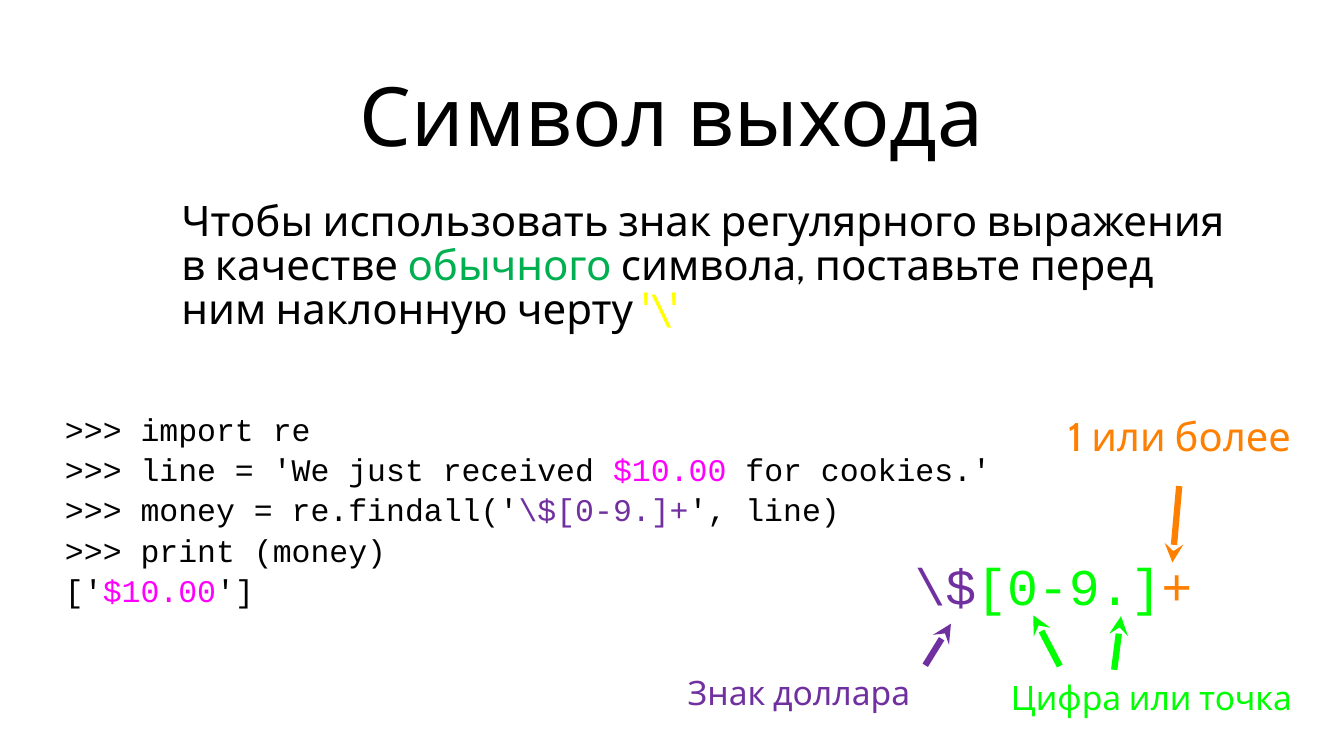
import dataclasses

import lxml.etree
import pptx
import pptx.dml.color
import pptx.enum.shapes
import pptx.enum.text
import pptx.oxml.ns
import pptx.util

Inches = pptx.util.Inches
Align = pptx.enum.text.PP_ALIGN


@dataclasses.dataclass(frozen=True)
class Theme:
    prose: str = "Cabin"
    code: str = "Courier New"
    black: str = "000000"
    emphasis: str = "00B050"
    yellow: str = "FFFF00"
    magenta: str = "FF00FF"
    purple: str = "7030A0"
    green: str = "00FF00"
    orange: str = "FF7F00"
    title_size: int = 78
    body_size: int = 40
    code_size: int = 30
    pattern_size: int = 49
    label_size: int = 32
    count_size: int = 38
    arrow_width: int = 6


THEME = Theme()


def rgb(color):
    return pptx.dml.color.RGBColor.from_string(color)


def add_text(slide, box, paragraphs, *, size, font=THEME.prose, align=Align.LEFT,
             inset=0, left_inset=None, line_spacing=None):
    shape = slide.shapes.add_textbox(*map(Inches, box))
    frame = shape.text_frame
    frame.word_wrap = True
    frame.vertical_anchor = pptx.enum.text.MSO_ANCHOR.MIDDLE
    frame.margin_top = frame.margin_bottom = frame.margin_right = Inches(inset)
    frame.margin_left = Inches(inset if left_inset is None else left_inset)
    for index, runs in enumerate(paragraphs):
        paragraph = frame.add_paragraph() if index else frame.paragraphs[0]
        paragraph.alignment = align
        if line_spacing:
            paragraph.line_spacing = line_spacing
        for text, color in runs:
            run = paragraph.add_run()
            run.text = text
            run.font.name = font
            run.font.size = pptx.util.Pt(size)
            run.font.color.rgb = rgb(color)


def add_arrow(slide, tip, tail, color):
    arrow = slide.shapes.add_connector(
        pptx.enum.shapes.MSO_CONNECTOR.STRAIGHT, *map(Inches, tip + tail))
    arrow.line.color.rgb = rgb(color)
    arrow.line.width = pptx.util.Pt(THEME.arrow_width)
    qualified = pptx.oxml.ns.qn
    line = arrow.line._get_or_add_ln()
    lxml.etree.SubElement(line, qualified("a:round"))
    lxml.etree.SubElement(line, qualified("a:headEnd"), type="stealth")
    properties = arrow._element.spPr
    lxml.etree.SubElement(properties, qualified("a:effectLst"))


def add_explanation(slide):
    black = THEME.black
    add_text(slide, (1.65, 0.26, 14.47, 2.5), [[("Символ выхода", black)]],
             size=THEME.title_size, align=Align.CENTER, inset=0.06)
    rule = [
        ("Чтобы использовать знак регулярного выражения в качестве ", black),
        ("обычного ", THEME.emphasis),
        ("символа, поставьте перед ним наклонную черту ", black),
        ("'\\'", THEME.yellow),
    ]
    add_text(slide, (1.13, 2.55, 15.32, 1.97), [rule], size=THEME.body_size,
             inset=0.06, left_inset=1.27, line_spacing=0.88)


def add_code(slide):
    black = THEME.black
    amount = ("$10.00", THEME.magenta)
    lines = [
        [(">>> import re", black)],
        [(">>> line = 'We just received ", black), amount, (" for cookies.'", black)],
        [(">>> money = re.findall('", black), ("\\$[0-9.]+", THEME.purple),
         ("', line)", black)],
        [(">>> print (money)", black)],
        [("['", black), amount, ("']", black)],
    ]
    add_text(slide, (0.86, 5.12, 12.54, 3.2), lines, size=THEME.code_size,
             font=THEME.code, line_spacing=1.07)


def add_pattern(slide):
    pattern = [("\\$", THEME.purple), ("[0-9.]", THEME.green), ("+", THEME.orange)]
    add_text(slide, (12.1, 7.29, 3.74, 0.89), [pattern],
             size=THEME.pattern_size, font=THEME.code)
    labels = [
        ((13.13, 8.86, 4.21, 0.72), "Цифра или точка", THEME.green, THEME.label_size),
        ((8.7, 8.79, 3.74, 0.72), "Знак доллара", THEME.purple, THEME.label_size),
        ((14.03, 5.1, 3.15, 1.33), "1 или более", THEME.orange, THEME.count_size),
    ]
    for box, text, color, size in labels:
        add_text(slide, box, [[(text, color)]], size=size, align=Align.CENTER)
    arrows = [
        ((12.58, 8.25), (12.24, 8.8), THEME.purple),
        ((13.67, 8.14), (14.02, 8.81), THEME.green),
        ((14.83, 8.15), (14.74, 8.86), THEME.green),
        ((15.51, 7.44), (15.6, 6.43), THEME.orange),
    ]
    for tip, tail, color in arrows:
        add_arrow(slide, tip, tail, color)


def main():
    presentation = pptx.Presentation()
    presentation.slide_width = Inches(17.78)
    presentation.slide_height = Inches(10)
    slide = presentation.slides.add_slide(presentation.slide_layouts[6])
    add_explanation(slide)
    add_code(slide)
    add_pattern(slide)
    presentation.save("out.pptx")


main()
